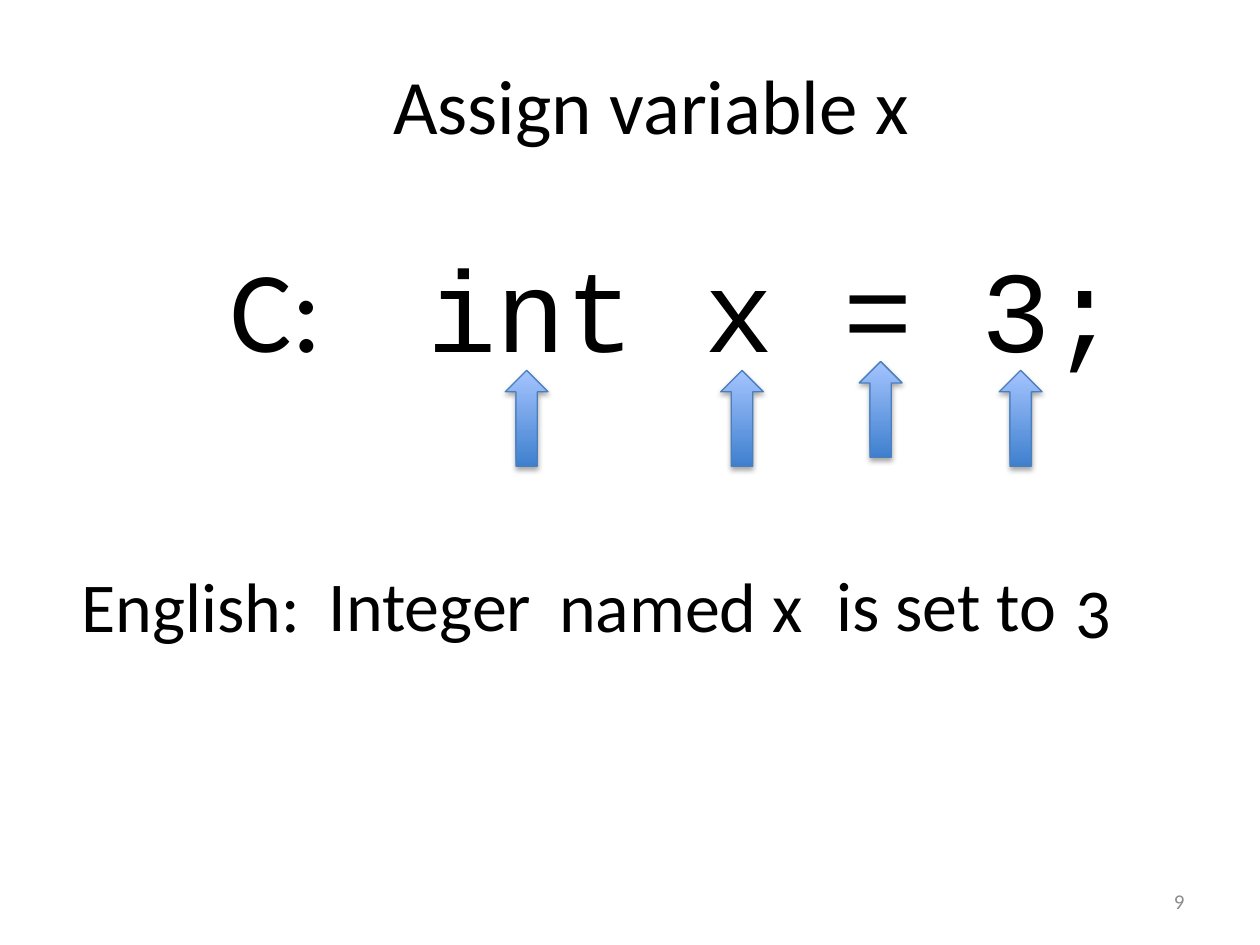
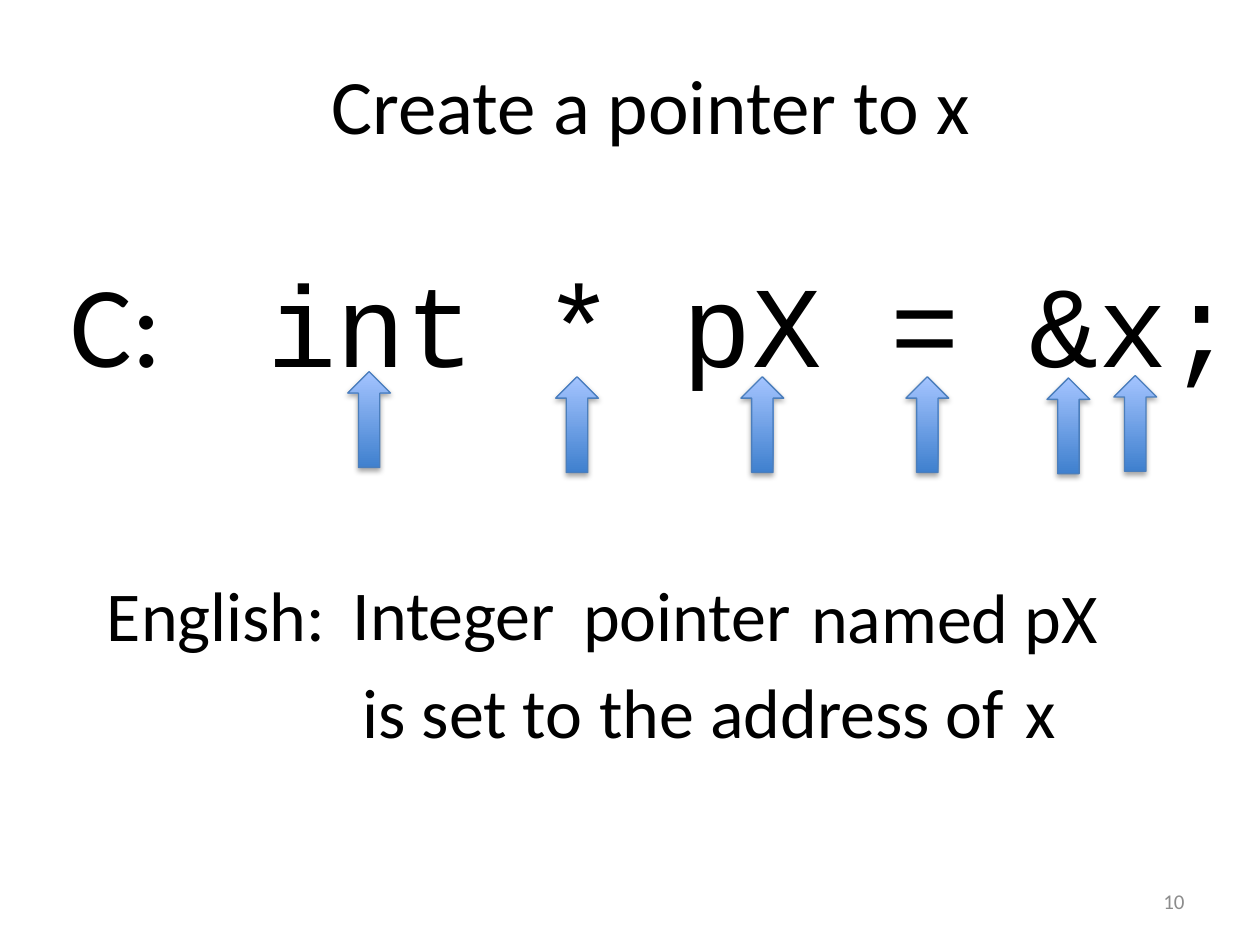
import pptx
import pptx.dml.color
import pptx.enum.shapes
import pptx.enum.text
import pptx.oxml
import pptx.oxml.ns
import pptx.util

Pt = pptx.util.Pt
ALIGN = pptx.enum.text.PP_ALIGN
ANCHOR = pptx.enum.text.MSO_ANCHOR
NS = pptx.oxml.ns.nsdecls("a")


def rgb(color):
    return pptx.dml.color.RGBColor.from_string(color)


class Deck:
    SANS, MONO = "Calibri", "Courier New"
    BLACK, GREY = "000000", "8C8C8C"
    ARROW_LOW, ARROW_HIGH, ARROW_EDGE = "3F80CE", "A4C4FF", "4B7EBC"
    ARROW_SIZE = (24.5, 54.7)
    CODE_TAB = 112.5

    def __init__(self):
        self.prs = pptx.Presentation()
        self.prs.slide_width, self.prs.slide_height = Pt(720), Pt(540)
        self.s = None

    def slide(self, title, number):
        self.s = self.prs.slides.add_slide(self.prs.slide_layouts[6])
        self.text(516.2, 500.4, 167.8, 28.8, [(str(number), self.SANS)], 12,
                  color=self.GREY, align=ALIGN.RIGHT, anchor=ANCHOR.MIDDLE)
        self.text(48.2, 29.5, 648, 64.8, [(title, self.SANS)], 44,
                  align=ALIGN.CENTER)

    def text(self, x, y, w, h, runs, size, color=BLACK, align=ALIGN.LEFT,
             anchor=ANCHOR.TOP, wrap=True):
        sp = self.s.shapes.add_textbox(Pt(x), Pt(y), Pt(w), Pt(h))
        tf = sp.text_frame
        tf.word_wrap = wrap
        tf.vertical_anchor = anchor
        p = tf.paragraphs[0]
        p.alignment = align
        for words, font in runs:
            r = p.add_run()
            r.text = words
            r.font.name, r.font.size = font, Pt(size)
            r.font.color.rgb = rgb(color)
        return p

    def code(self, x, y, w, statement):
        """Language label, then the statement at a tab stop."""
        runs = [("C:\t", self.SANS), (statement, self.MONO)]
        p = self.text(x, y, w, 87.1, runs, 66)
        p._p.get_or_add_pPr().append(pptx.oxml.parse_xml(
            f'<a:tabLst {NS}><a:tab pos="{Pt(self.CODE_TAB)}" algn="l"/></a:tabLst>'))

    def phrase(self, x, y, w, words):
        self.text(x, y, w, 55.4, [(words, self.SANS)], 40, wrap=False)

    def arrow(self, x, y):
        w, h = self.ARROW_SIZE
        sp = self.s.shapes.add_shape(
            pptx.enum.shapes.MSO_SHAPE.UP_ARROW, Pt(x), Pt(y), Pt(w), Pt(h))
        sp.fill.gradient()
        sp.fill.gradient_angle = 90
        for stop, color in zip(sp.fill.gradient_stops,
                               (self.ARROW_LOW, self.ARROW_HIGH)):
            stop.color.rgb = rgb(color)
        sp.line.color.rgb = rgb(self.ARROW_EDGE)
        sp.line.width = Pt(0.75)
        # Soft shadow straight below
        sp.shadow.inherit = False
        effects = sp._element.spPr.find(pptx.oxml.ns.qn("a:effectLst"))
        effects.append(pptx.oxml.parse_xml(
            f'<a:outerShdw {NS} blurRad="{Pt(3.1)}" dist="{Pt(1.8)}" '
            f'dir="5400000" rotWithShape="0"><a:srgbClr val="{self.BLACK}">'
            '<a:alpha val="35000"/></a:srgbClr></a:outerShdw>'))

    def translation(self, title, number, code, arrows, phrases):
        """A C statement, arrows to its parts, and its reading in English."""
        self.slide(title, number)
        self.code(*code)
        for spot in arrows:
            self.arrow(*spot)
        for phrase in phrases:
            self.phrase(*phrase)


def main():
    deck = Deck()

    # Assignment
    deck.translation(
        "Assign variable x", 9,
        code=(124.6, 131.8, 528.5, "int x = 3;"),
        arrows=[(288.7, 211.7), (411.8, 211.7), (491, 206.6), (571, 211.7)],
        phrases=[
            (39.6, 318.2, 141.1, "English:"),
            (180.7, 317.5, 131.8, "Integer"),
            (312.5, 318.2, 155.5, "named x"),
            (470.9, 317.5, 141.1, "is set to"),
            (607.7, 321.1, 35.3, "3"),
        ])

    # Pointer
    deck.translation(
        "Create a pointer to x", 10,
        code=(33.1, 140.4, 688.3, "int * pX = &x;"),
        arrows=[(198.7, 212.4), (317.5, 215.3), (423.4, 215.3),
                (517.7, 215.3), (598.3, 216), (636.5, 214.6)],
        phrases=[
            (54, 323.3, 141.1, "English:"),
            (194.4, 322.6, 131.8, "Integer"),
            (326.2, 323.3, 134.6, "pointer"),
            (456.5, 324, 180, "named pX"),
            (200.2, 378.7, 141.1, "is set to"),
            (335.5, 378.7, 248.4, "the address of"),
            (578.9, 378.7, 32.4, "x"),
        ])

    deck.prs.save("out.pptx")


if __name__ == "__main__":
    main()
